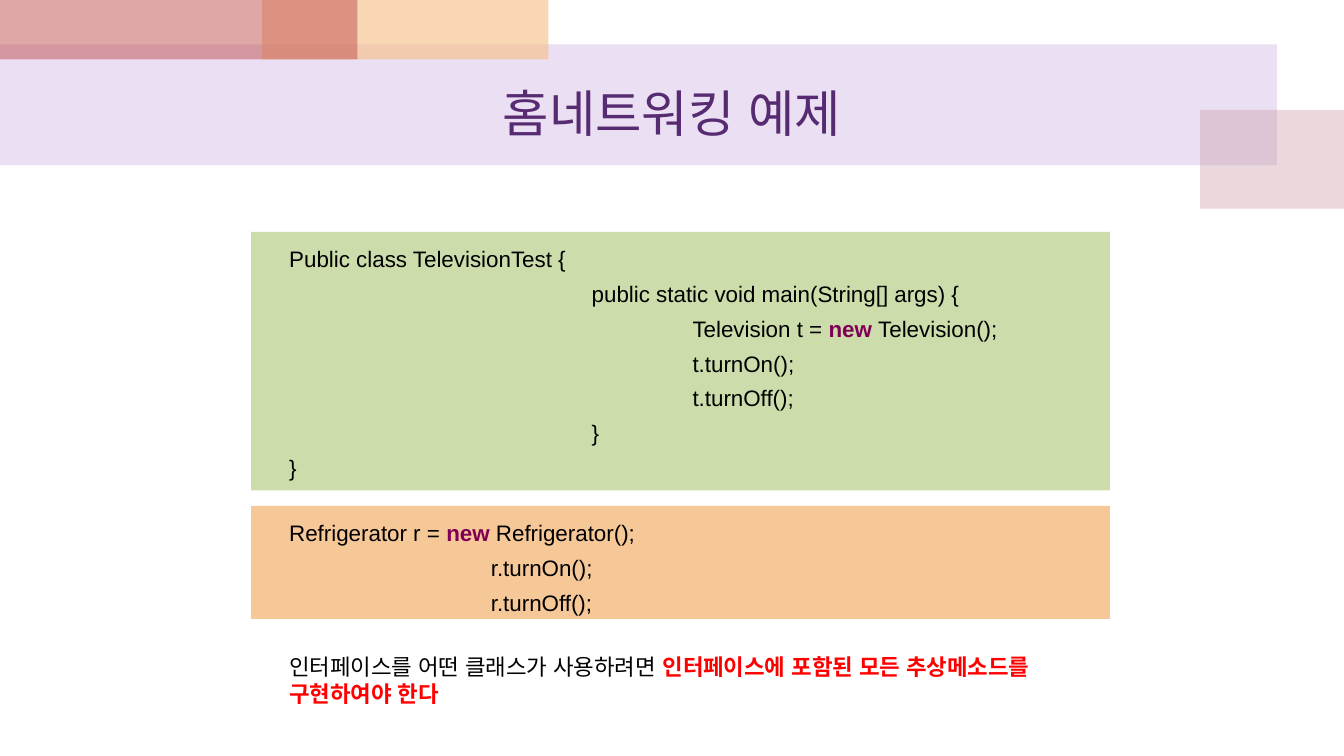
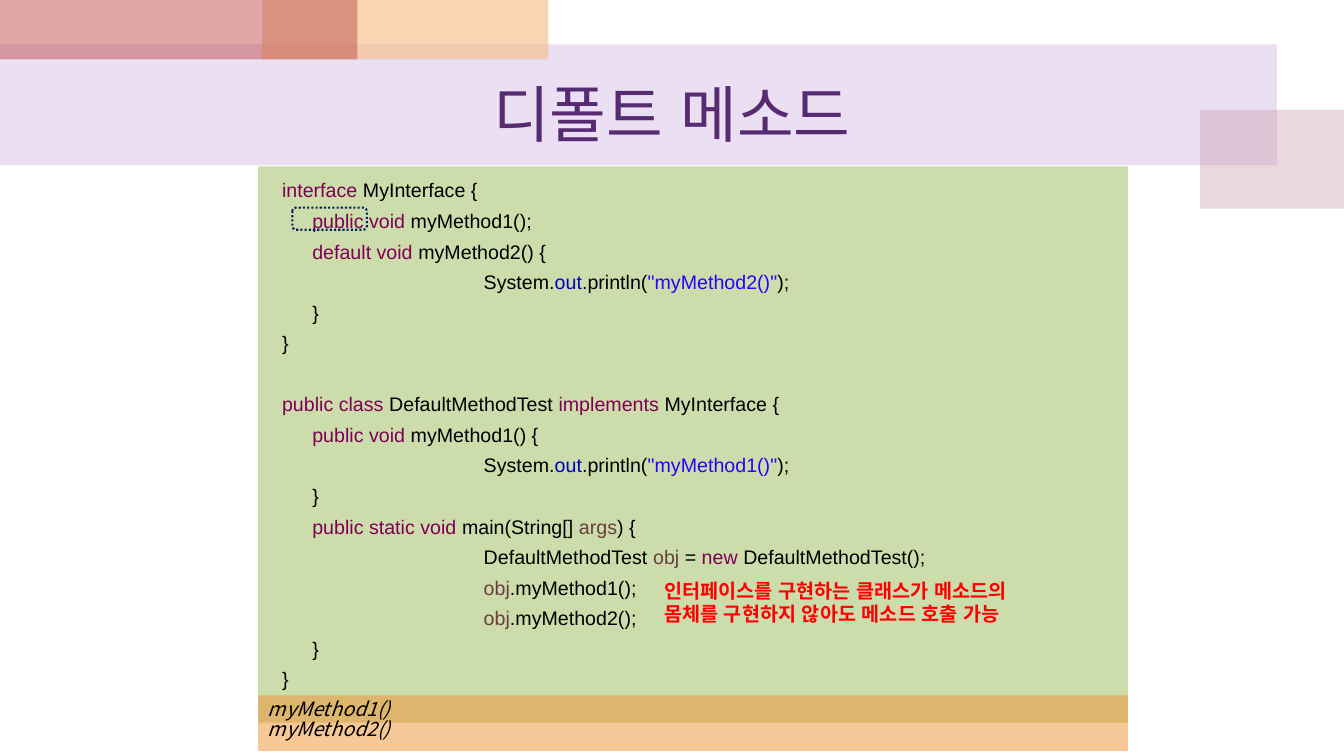
from dataclasses import dataclass, field

from lxml.etree import SubElement
from pptx import Presentation
from pptx.dml.color import RGBColor
from pptx.enum.dml import MSO_LINE
from pptx.enum.shapes import MSO_SHAPE as Preset
from pptx.enum.text import MSO_ANCHOR as Anchor, MSO_AUTO_SIZE as AutoSize, PP_ALIGN as Align
from pptx.oxml.ns import qn
from pptx.util import Inches, Pt


@dataclass(frozen=True)
class Theme:
    font: str = "Arial"
    output_font: str = "Noto Sans CJK KR"
    title_color: str = "562B71"
    outline: str = "002060"
    green: tuple = ("9BBB59", 50)
    orange: tuple = ("EF9031", 50)
    large: int = 16
    small: int = 14
    code_spacing: float = 1.3
    output_spacing: float = 0.85
    inks: dict = field(default_factory=lambda: {
        "plain": "000000",
        "keyword": "7F0055",
        "new": "7F0055",
        "field": "0000C0",
        "string": "2A00FF",
        "variable": "6A3E3E",
        "alert": "FF0000",
        "output": "000000",
    })
    bold: tuple = ("new", "alert")
    bands: tuple = (
        ((0, 5.87, 95, 16), ("BF98D8", 30)),
        ((89.3, 14.53, 10.7, 13.07), ("CC9EAC", 40)),
        ((19.5, 0, 21.3, 7.87), ("F5BC83", 60)),
        ((0, 0, 26.6, 7.87), ("C0504D", 50)),
    )


theme = Theme()
presentation = Presentation()
presentation.slide_width = Inches(13.33)
presentation.slide_height = Inches(7.5)
column = presentation.slide_width / 100
row = presentation.slide_height / 100
layout = presentation.slide_layouts[5]


def add_panel(slide, area, paint):
    left, top, width, height = area
    shape = slide.shapes.add_shape(
        Preset.RECTANGLE, int(left * column), int(top * row), int(width * column), int(height * row))
    shape.shadow.inherit = False
    shape.line.fill.background()
    color, opacity = paint
    shape.fill.solid()
    shape.fill.fore_color.rgb = RGBColor.from_string(color)
    tint = shape._element.spPr.find(qn("a:solidFill")).find(qn("a:srgbClr"))
    SubElement(tint, qn("a:alpha")).set("val", str(opacity * 1000))
    return shape


def write(shape, lines, size, indents=(0,), spacing=None):
    frame = shape.text_frame
    frame.word_wrap = True
    frame.vertical_anchor = Anchor.TOP
    for index, (level, gap, *runs) in enumerate(lines):
        paragraph = frame.paragraphs[0] if index == 0 else frame.add_paragraph()
        paragraph.alignment = Align.LEFT
        paragraph.space_before = Pt(gap)
        if spacing:
            paragraph.line_spacing = spacing
        properties = paragraph._p.get_or_add_pPr()
        properties.set("marL", str(Inches(indents[level])))
        properties.set("indent", "0")
        for text, role in runs:
            run = paragraph.add_run()
            run.text = text
            run.font.size = Pt(size)
            run.font.name = theme.output_font if role == "output" else theme.font
            run.font.bold = role in theme.bold
            run.font.italic = role == "output"
            run.font.color.rgb = RGBColor.from_string(theme.inks[role])
            SubElement(run._r.get_or_add_rPr(), qn("a:ea")).set("typeface", run.font.name)


slides = []
for title_text, title_size in (("홈네트워킹 예제", 36), ("디폴트 메소드", 44)):
    slide = presentation.slides.add_slide(layout)
    title = slide.shapes.title
    title.left, title.top = int(5 * column), int(7.87 * row)
    title.width, title.height = int(90 * column), int(14 * row)
    title.text_frame.auto_size = AutoSize.NONE
    title.text_frame.vertical_anchor = Anchor.MIDDLE
    paragraph = title.text_frame.paragraphs[0]
    paragraph.alignment = Align.CENTER
    run = paragraph.add_run()
    run.text = title_text
    run.font.size = Pt(title_size)
    run.font.name = theme.font
    run.font.color.rgb = RGBColor.from_string(theme.title_color)
    SubElement(run._r.get_or_add_rPr(), qn("a:ea")).set("typeface", theme.font)
    slides.append(slide)

network_slide, default_slide = slides

for area, paint in theme.bands:
    band = add_panel(network_slide, area, paint)
    layout.shapes._spTree.append(band._element)

network_indents = [0.28 + step for step in range(5)]
television = add_panel(network_slide, (18.68, 30.67, 63.9, 34.2), theme.green)
write(television, [
    (0, 0, ("Public class TelevisionTest {", "plain")),
    (3, 0, ("public static void main(String[] args) {", "plain")),
    (4, 0, ("Television t = ", "plain"), ("new ", "new"), ("Television();", "plain")),
    (4, 0, ("t.turnOn();", "plain")),
    (4, 0, ("t.turnOff();", "plain")),
    (3, 0, ("}", "plain")),
    (0, 0, ("}", "plain")),
], theme.large, network_indents, theme.code_spacing)

refrigerator = add_panel(network_slide, (18.68, 66.93, 63.9, 14.93), theme.orange)
write(refrigerator, [
    (0, 0, ("Refrigerator r = ", "plain"), ("new ", "new"), ("Refrigerator();", "plain")),
    (2, 0, ("r.turnOn();", "plain")),
    (2, 0, ("r.turnOff();", "plain")),
], theme.large, network_indents, theme.code_spacing)

interface_code = add_panel(default_slide, (19.2, 22, 64.73, 73.6), theme.green)
write(interface_code, [
    (0, 0, ("interface ", "keyword"), ("MyInterface {", "plain")),
    (1, 0, ("public void", "keyword"), (" myMethod1();", "plain")),
    (1, 0, ("default void", "keyword"), (" myMethod2() {", "plain")),
    (2, 0, ("System.", "plain"), ("out", "field"), (".println(", "plain"),
     ('"myMethod2()"', "string"), (");", "plain")),
    (1, 0, ("}", "plain")),
    (0, 0, ("}", "plain")),
    (0, 21.8, ("public class ", "keyword"), ("DefaultMethodTest ", "plain"),
     ("implements ", "keyword"), ("MyInterface {", "plain")),
    (1, 0, ("public void", "keyword"), (" myMethod1() {", "plain")),
    (2, 0, ("System.", "plain"), ("out", "field"), (".println(", "plain"),
     ('"myMethod1()"', "string"), (");", "plain")),
    (1, 0, ("}", "plain")),
    (1, 0, ("public static void ", "keyword"), ("main(String[] ", "plain"),
     ("args", "variable"), (") {", "plain")),
    (2, 0, ("DefaultMethodTest ", "plain"), ("obj", "variable"), (" = ", "plain"),
     ("new ", "keyword"), ("DefaultMethodTest();", "plain")),
    (2, 0, ("obj", "variable"), (".myMethod1();", "plain")),
    (2, 0, ("obj", "variable"), (".myMethod2();", "plain")),
    (1, 0, ("}", "plain")),
    (0, 0, ("}", "plain")),
], theme.small, (0.14, 0.44, 2.14), theme.code_spacing)

notes = (
    (network_slide, (20.78, 85.73, 63.3, 8.53), theme.large, (
        ("인터페이스를 어떤 클래스가 사용하려면 ", "plain"),
        ("인터페이스에 포함된 모든 추상메소드를 구현하여야 한다", "alert"))),
    (default_slide, (48.68, 75.87, 29.7, 7.6), theme.small, (
        ("인터페이스를 구현하는 클래스가 메소드의 몸체를 구현하지 않아도 메소드 호출 가능", "alert"),)),
)
for slide, (left, top, width, height), size, runs in notes:
    note = slide.shapes.add_textbox(
        int(left * column), int(top * row), int(width * column), int(height * row))
    write(note, [(0, 0, *runs)], size)

public_mark = default_slide.shapes.add_shape(
    Preset.ROUNDED_RECTANGLE, int(21.75 * column), int(27.47 * row), int(5.55 * column), int(2.93 * row))
public_mark.shadow.inherit = False
public_mark.fill.background()
public_mark.line.color.rgb = RGBColor.from_string(theme.outline)
public_mark.line.width = Pt(1.5)
public_mark.line.dash_style = MSO_LINE.ROUND_DOT

console = add_panel(default_slide, (19.2, 92, 64.73, 7.33), theme.orange)
write(console, [(0, 0, (f"myMethod{number}()", "output")) for number in (1, 2)],
      theme.small, spacing=theme.output_spacing)

presentation.save("out.pptx")
